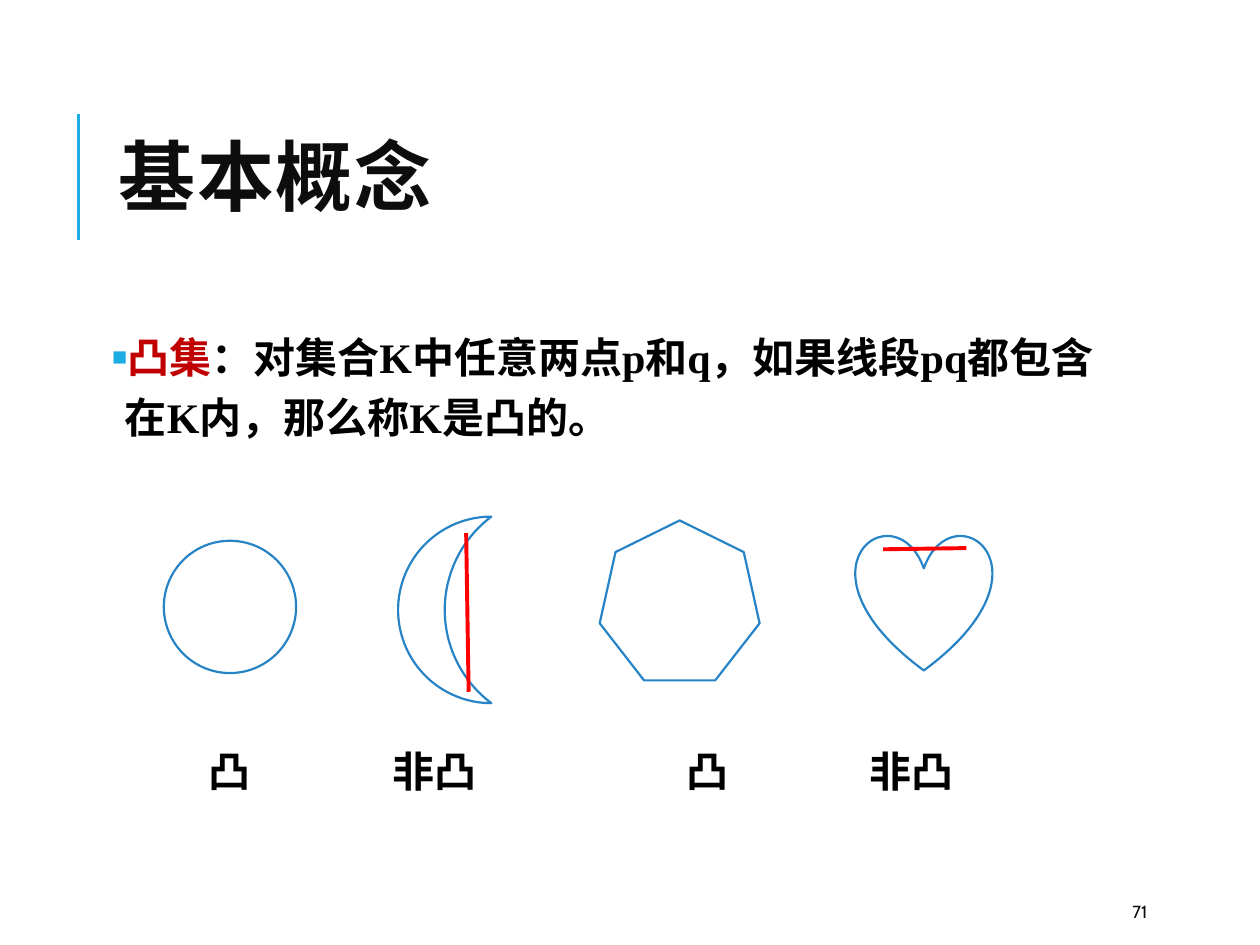
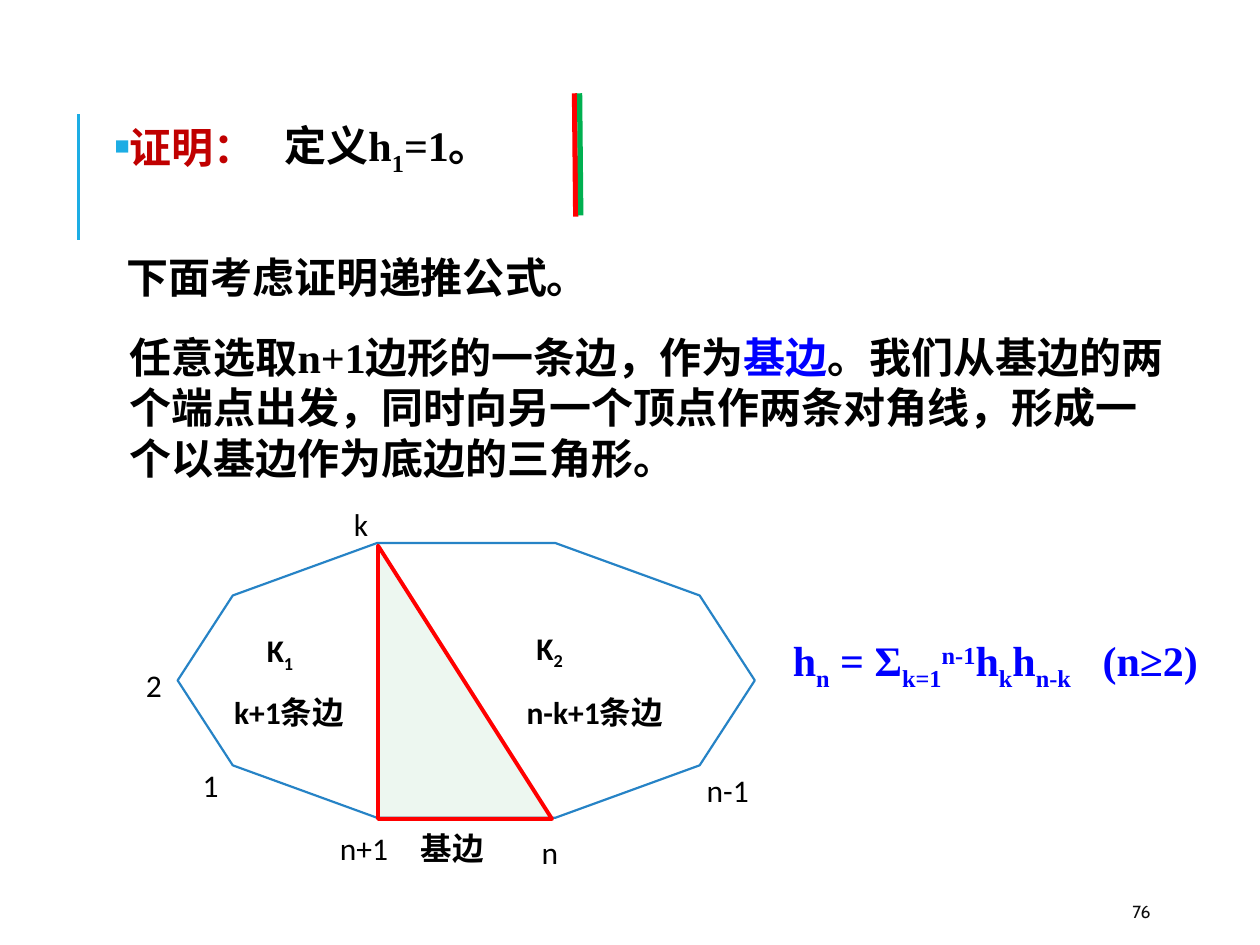
"""Two slides on convex sets and the proof of a recurrence for polygons."""
from dataclasses import dataclass

from lxml import etree
from pptx import Presentation
from pptx.dml.color import RGBColor
from pptx.enum import shapes, text
from pptx.oxml.ns import qn
from pptx.util import Pt

SHAPE = shapes.MSO_SHAPE
SUB, SUPER = -25, 30


@dataclass(frozen=True)
class Theme:
    accent: str = "1CADE4"
    outline: str = "2683C6"
    paper: str = "FFFFFF"
    ink: str = "000000"
    heading: str = "0D0D0D"
    term: str = "C00000"
    formula: str = "0000FF"
    red: str = "FF0000"
    green: str = "00B050"
    triangle: str = "A9D8B7"
    display: str = "Cabin"
    serif: str = "Times New Roman"
    sans: str = "Calibri"
    title_size: int = 44
    body_size: int = 24
    label_size: int = 18
    number_size: int = 10


class Sketch:
    def __init__(self, deck, theme):
        self.deck, self.theme, self.page = deck, theme, None

    def start(self, number):
        self.page = self.deck.slides.add_slide(self.deck.slide_layouts[1])
        self.line((45, 137), (45, 65), self.theme.accent, 1.5)
        box = self.label(number, (640, 510, 57.6, 21.6), self.theme.number_size,
                         self.theme.display, self.theme.heading, bold=False)
        box.text_frame.vertical_anchor = text.MSO_ANCHOR.MIDDLE

    def place(self, box, area):
        box.left, box.top, box.width, box.height = map(Pt, area)

    def style(self, span, size, font, color, bold=True):
        span.font.size, span.font.name, span.font.bold = Pt(size), font, bold
        span.font.color.rgb = RGBColor.from_string(color)

    def add_spans(self, para, parts, size, font, color, bold=True):
        for words, part_color, baseline in parts:
            span = para.add_run()
            span.text = words
            self.style(span, size, font, part_color or color, bold)
            if baseline:
                span._r.get_or_add_rPr().set("baseline", str(baseline * 1000))

    def title(self, words, area):
        box = self.page.shapes.title
        self.place(box, area)
        frame = box.text_frame
        frame.text = words
        frame.auto_size = text.MSO_AUTO_SIZE.NONE
        frame.vertical_anchor = text.MSO_ANCHOR.MIDDLE
        para = frame.paragraphs[0]
        para.alignment, para.line_spacing = text.PP_ALIGN.LEFT, 0.8
        span = para.runs[0]
        self.style(span, self.theme.title_size, self.theme.display, self.theme.heading)
        span._r.get_or_add_rPr().set("spc", "100")

    def drop_title(self):
        box = self.page.shapes.title._element
        box.getparent().remove(box)

    def body(self, parts, area):
        box = self.page.placeholders[1]
        self.place(box, area)
        frame = box.text_frame
        frame.auto_size = text.MSO_AUTO_SIZE.NONE
        frame.margin_left = frame.margin_right = Pt(3.6)
        frame.margin_top = frame.margin_bottom = Pt(3.6)
        para = frame.paragraphs[0]
        para.line_spacing, para.space_before, para.space_after = 1.2, Pt(18), Pt(2)
        self.add_spans(para, parts, self.theme.body_size, self.theme.serif, self.theme.ink)
        props = para._p.get_or_add_pPr()
        props.set("marL", str(Pt(7.2)))
        props.set("indent", str(Pt(-7.2)))
        tint = etree.SubElement(props, qn("a:buClr"))
        etree.SubElement(tint, qn("a:srgbClr"), val=self.theme.accent)
        etree.SubElement(props, qn("a:buSzPct"), val="60000")
        etree.SubElement(props, qn("a:buChar"), char="■")

    def label(self, parts, area, size=None, font=None, color=None, bold=True):
        box = self.page.shapes.add_textbox(*map(Pt, area))
        box.text_frame.word_wrap = True
        if isinstance(parts, str):
            parts = [(parts, None, 0)]
        self.add_spans(box.text_frame.paragraphs[0], parts, size or self.theme.label_size,
                       font or self.theme.sans, color or self.theme.ink, bold)
        return box

    def statement(self, parts, area, color=None):
        return self.label(parts, area, self.theme.body_size, self.theme.serif, color)

    def tab_stop(self, box, position):
        props = box.text_frame.paragraphs[0]._p.get_or_add_pPr()
        stops = etree.SubElement(props, qn("a:tabLst"))
        etree.SubElement(stops, qn("a:tab"), pos=str(Pt(position)), algn="l")

    def shape(self, kind, area, fill=None, outline=None, width=1.25, opacity=None):
        figure = self.page.shapes.add_shape(kind, *map(Pt, area))
        figure.shadow.inherit = False
        figure.fill.solid()
        figure.fill.fore_color.rgb = RGBColor.from_string(fill or self.theme.paper)
        figure.line.color.rgb = RGBColor.from_string(outline or self.theme.outline)
        figure.line.width = Pt(width)
        if opacity:
            color = figure._element.spPr.find(qn("a:solidFill"))[0]
            etree.SubElement(color, qn("a:alpha"), val=str(opacity * 1000))

    def line(self, start, end, color, width):
        stroke = self.page.shapes.add_connector(
            shapes.MSO_CONNECTOR.STRAIGHT, *map(Pt, start + end))
        stroke.line.color.rgb = RGBColor.from_string(color)
        stroke.line.width = Pt(width)
        etree.SubElement(stroke._element.spPr, qn("a:effectLst"))


def convex_sets(sketch):
    theme = sketch.theme
    sketch.start("71")
    sketch.title("基本概念", (60.5, 46, 574, 118))
    sketch.body([("凸集", theme.term, 0),
                 ("：对集合K中任意两点p和q，如果线段pq都包含在K内，那么称K是凸的。", None, 0)],
                (60.5, 180, 574, 77))
    examples = [
        (SHAPE.OVAL, (93.6, 309, 75.6, 75.6), "凸", 112.3),
        (SHAPE.MOON, (227.5, 295.2, 53.3, 106.6), "非凸", 217.4),
        (SHAPE.HEPTAGON, (342.7, 297.4, 91.4, 91.4), "凸", 385.2),
        (SHAPE.HEART, (489, 305.3, 77.8, 77.8), "非凸", 489.6),
    ]
    for kind, area, verdict, left in examples:
        sketch.shape(kind, area)
        sketch.label(verdict, (left, 422.6, 14.4 + 26 * len(verdict), 36), theme.body_size)
    sketch.line((266.4, 304.6), (267.8, 395.3), theme.red, 2.25)
    sketch.line((552.2, 313.2), (504.7, 313.9), theme.red, 2.25)


def recurrence_proof(sketch):
    theme = sketch.theme
    sketch.start("76")
    sketch.drop_title()
    sketch.body([("证明：", theme.term, 0)], (61.9, 59.8, 90, 44.6))
    sketch.statement([("定义h", None, 0), ("1", None, SUB), ("=1。", None, 0)],
                     (155.5, 64.8, 170.6, 36))
    sketch.line((328.3, 53.3), (329, 123.8), theme.red, 3)
    sketch.line((331.2, 53.3), (331.9, 123.1), theme.green, 3)
    sketch.statement("下面考虑证明递推公式。", (65.5, 140.4, 333.4, 36))
    sketch.statement([("任意选取n+1边形的一条边，作为", None, 0),
                      ("基边", theme.formula, 0),
                      ("。我们从基边的两个端点出发，同时向另一个顶点作两条对角线，"
                       "形成一个以基边作为底边的三角形。", None, 0)],
                     (67, 185.8, 612, 94.3))

    sketch.shape(SHAPE.DECAGON, (101.5, 310.3, 329.8, 157))
    vertices = [("1", 108.7, 434.2, 22.3), ("n-1", 396.7, 437, 49.7),
                ("k", 195.1, 285.1, 22.3), ("2", 76.3, 377.3, 22.3),
                ("n", 302.4, 472.3, 26.6), ("n+1", 187.2, 470.2, 52.6)]
    for name, left, top, width in vertices:
        sketch.label(name, (left, top, width, 28.8), bold=False)
    sketch.shape(SHAPE.RIGHT_TRIANGLE, (216, 311.8, 99.4, 156.2),
                 theme.triangle, theme.red, 2.25, opacity=20)
    sketch.label("基边", (233.3, 470.2, 61.9, 28.8))
    regions = [("1", 145.4, 357.1, "k+1条边", 126.7, 89.3),
               ("2", 299.5, 355.7, "n-k+1条边", 293.8, 115.2)]
    for index, left, top, edges, edges_left, edges_width in regions:
        sketch.label([("K", None, 0), (index, None, SUB)], (left, top, 38.9, 28.8))
        sketch.label(edges, (edges_left, 392.4, edges_width, 28.8))

    formula = sketch.statement(
        [("h", None, 0), ("n", None, SUB), (" = Σ", None, 0), ("k=1", None, SUB),
         ("n-1", None, SUPER), ("h", None, 0), ("k", None, SUB), ("h", None, 0),
         ("n-k", None, SUB), ("\t(n≥2)", None, 0)],
        (446, 359.3, 266, 36), theme.formula)
    sketch.tab_stop(formula, 177)


def main():
    deck = Presentation()
    deck.slide_width, deck.slide_height = Pt(720), Pt(540)
    sketch = Sketch(deck, Theme())
    convex_sets(sketch)
    recurrence_proof(sketch)
    deck.save("out.pptx")


if __name__ == "__main__":
    main()
